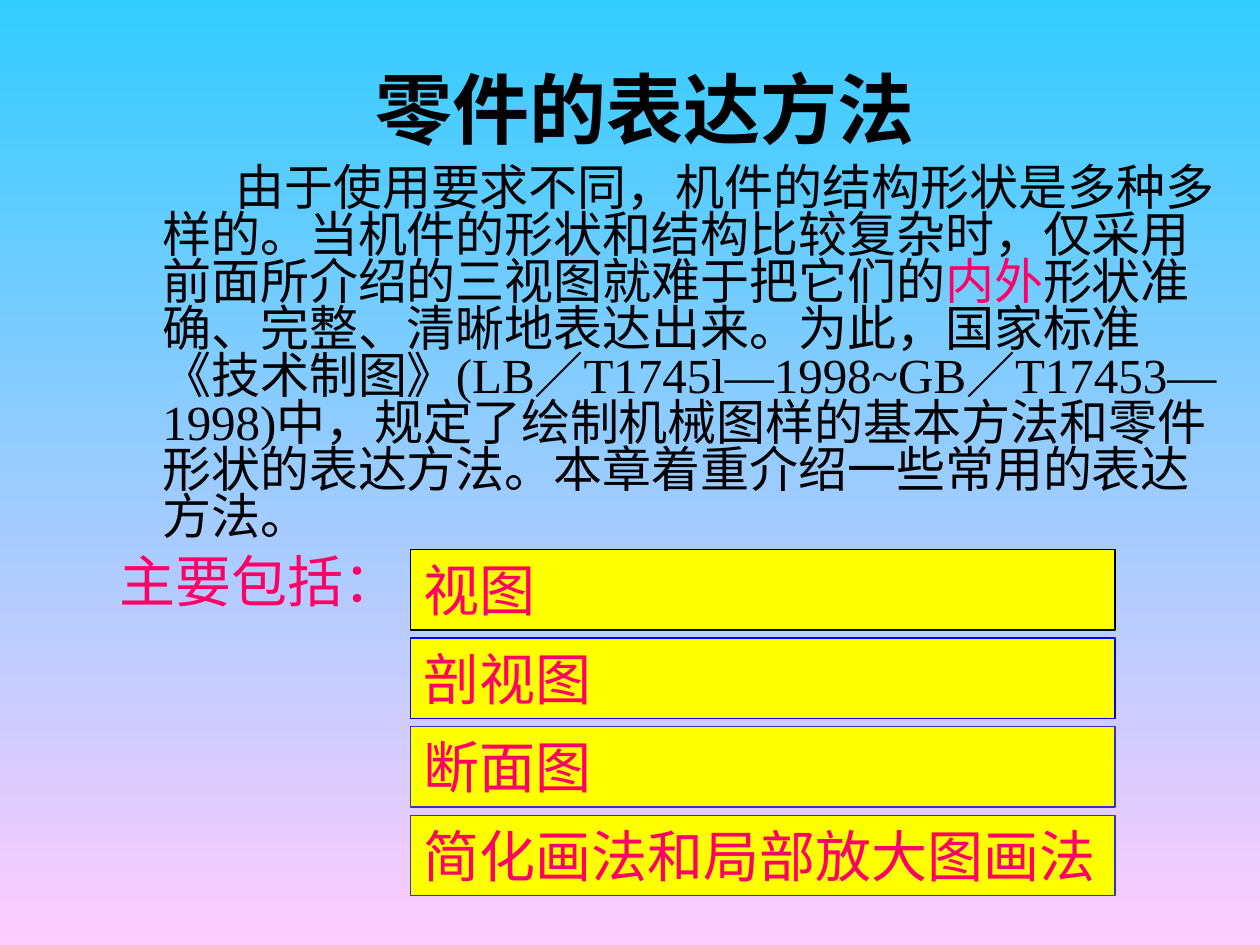
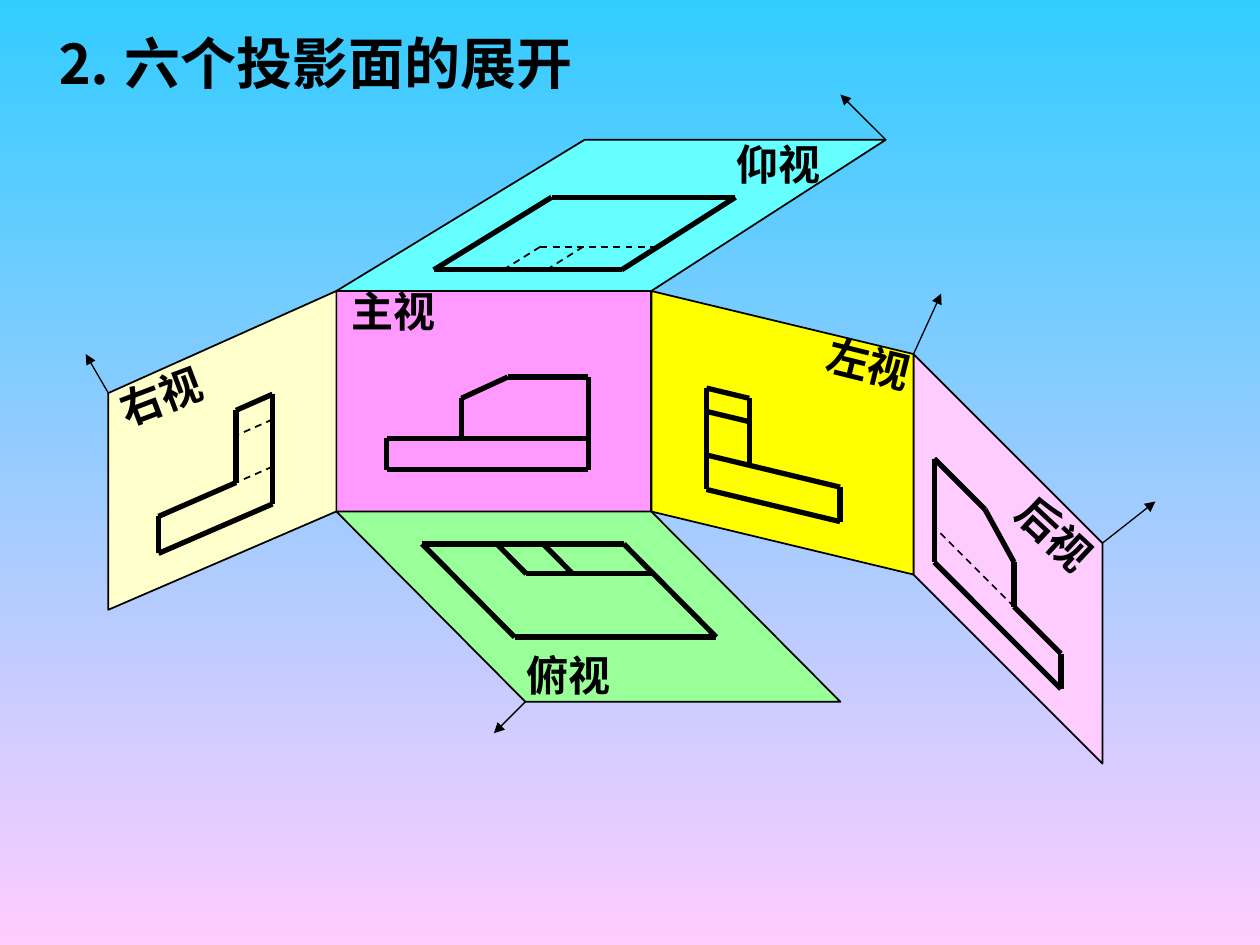
from dataclasses import dataclass
from itertools import pairwise

from lxml.etree import SubElement
from pptx import Presentation
from pptx.dml.color import RGBColor
from pptx.enum.dml import MSO_LINE
from pptx.enum.shapes import MSO_CONNECTOR, MSO_SHAPE
from pptx.enum.text import MSO_ANCHOR, MSO_AUTO_SIZE, PP_ALIGN
from pptx.oxml.ns import qn
from pptx.util import Inches, Pt

COLORS = {
    "sky": "33CCFF", "rose": "FFCCFF", "ink": "000000", "accent": "FF0066",
    "yellow": "FFFF00", "blue": "0000FF", "indigo": "3333CC",
    "magenta": "FF99FF", "cyan": "66FFFF", "green": "99FF99", "cream": "FFFFCC",
}
FONT = "Times New Roman"
WIDTH, HEIGHT = Inches(10), Inches(7.5)
CELL = WIDTH // 1000  # the slide is a grid of 1000 columns by 750 rows

# Corners shared by the unfolded planes, in cells
CORNERS = {
    "A": (267, 231), "B": (517, 231), "C": (517, 406), "D": (267, 406),
    "E": (464, 111), "F": (703, 111), "G": (417, 557), "H": (667, 557),
    "I": (86, 312), "J": (86, 484), "K": (725, 281), "L": (725, 456),
    "M": (875, 431), "N": (875, 606),
}

# The part, as shares of its length, height and depth
STEP, SLOPE = 0.37, 0.6
SHOULDER, BASE = 0.23, 0.66
WALL = 0.32

# Each face: its outline, then the edges seen from one side only
FRONT = ([(0, BASE), (0, 1), (1, 1), (1, 0), (SLOPE, 0), (STEP, SHOULDER),
          (STEP, BASE), (0, BASE)],
         [[(STEP, BASE), (1, BASE)]])
SIDE = ([(0, 0), (0, 1), (1, 1), (1, BASE), (WALL, BASE), (WALL, 0), (0, 0)],
        [[(0, edge), (WALL, edge)] for edge in (SHOULDER, BASE)])
PLAN = ([(0, 0), (0, 1), (1, 1), (1, 0), (0, 0)],
        [[(STEP, 0), (STEP, WALL), (1, WALL)], [(SLOPE, 0), (SLOPE, WALL)]])


@dataclass
class View:
    """A plane, with the drawing and label placed in shares of it."""
    name: str
    corners: str  # top left, top right, bottom left, bottom right
    fill: str
    face: tuple
    area: tuple  # left, top, right, bottom
    label: tuple
    turn: float = 0
    mirror: str = ""
    arrow: tuple | None = None  # corner and step in cells


VIEWS = [
    View("后视", "KMLN", "rose", FRONT, (0.11, 0.38, 0.78, 0.85),
         (0.75, 0.17), 43, "across", ("M", 42, -33)),
    View("主视", "ABDC", "magenta", FRONT, (0.16, 0.39, 0.8, 0.81),
         (0.18, 0.09)),
    View("仰视", "EFAB", "cyan", PLAN, (0.2, 0.38, 0.8, 0.86),
         (0.77, 0.16), 0, "down", ("F", -36, -36)),
    View("俯视", "DCGH", "green", PLAN, (0.17, 0.17, 0.81, 0.66),
         (0.22, 0.86), 0, "", ("G", -25, 25)),
    View("右视", "IAJD", "cream", SIDE, (0.22, 0.34, 0.72, 0.84),
         (0.23, 0.12), -20.7, "across", ("I", -18, -31)),
    View("左视", "BKCL", "yellow", SIDE, (0.21, 0.38, 0.72, 0.84),
         (0.83, 0.09), 13.9, "", ("K", 22, -48)),
]


def color(name):
    return RGBColor.from_string(COLORS[name])


def cells(*values):
    return [round(value * CELL) for value in values]


def mix(start, end, share):
    return tuple(a + (b - a) * share for a, b in zip(start, end))


def add_span(para, text, size, shade="ink", bold=False):
    span = para.add_run()
    span.text = text
    font = span.font
    font.name, font.size, font.bold = FONT, Pt(size), bold
    font.color.rgb = color(shade)


def setup_frame(shape, anchor=MSO_ANCHOR.TOP):
    frame = shape.text_frame
    frame.auto_size = MSO_AUTO_SIZE.NONE
    frame.word_wrap = True
    frame.vertical_anchor = anchor
    return frame.paragraphs[0]


def style_shape(shape, fill, line, weight):
    shape.shadow.inherit = False
    shape.fill.solid()
    shape.fill.fore_color.rgb = color(fill)
    shape.line.color.rgb = color(line)
    shape.line.width = Pt(weight)


def add_line(page, start, end, weight, dashed=False, arrow=False):
    line = page.shapes.add_connector(
        MSO_CONNECTOR.STRAIGHT, *cells(*start, *end))
    line.line.color.rgb = color("ink")
    line.line.width = Pt(weight)
    if dashed:
        line.line.dash_style = MSO_LINE.DASH
    properties = line._element.spPr
    if arrow:
        SubElement(properties.find(qn("a:ln")), qn("a:tailEnd"), type="triangle")
    SubElement(properties, qn("a:effectLst"))


def add_page(deck, title, box, size, align):
    page = deck.slides.add_slide(deck.slide_layouts[5])
    holder = page.shapes.title
    holder.left, holder.top, holder.width, holder.height = cells(*box)
    para = setup_frame(holder, MSO_ANCHOR.MIDDLE)
    para.alignment = align
    add_span(para, title, size, bold=True)
    return page


def add_introduction(page, box):
    para = setup_frame(page.shapes.add_textbox(*cells(*box)))
    para.line_spacing = 0.8
    indents = para._p.get_or_add_pPr()
    indents.set("marL", str(Inches(0.38)))
    indents.set("indent", str(Inches(0.58)))
    add_span(para, "由于使用要求不同，机件的结构形状是多种多样的。当机件的形状和结构"
             "比较复杂时，仅采用前面所介绍的三视图就难于把它们的", 28)
    add_span(para, "内外", 28, "accent")
    add_span(para, "形状准确、完整、清晰地表达出来。为此，国家标准《技术制图》"
             "(LB／T1745l—1998~GB／T17453—1998)中，规定了绘制机械图样的"
             "基本方法和零件形状的表达方法。本章着重介绍一些常用的表达方法。", 28)


def add_topics(page, box):
    left, top, width, height = box
    row_height, indent = 64, 241
    # Lead-in on the left
    lead = page.shapes.add_textbox(*cells(left, top, indent, row_height))
    add_span(setup_frame(lead), "主要包括：", 32, "accent")
    # Evenly stacked bars on the right
    topics = [("视图", "ink"), ("剖视图", "blue"), ("断面图", "indigo"),
              ("简化画法和局部放大图画法", "indigo")]
    first = top + 7
    step = (top + height - row_height - first) / (len(topics) - 1)
    for row, (topic, line) in enumerate(topics):
        bar = page.shapes.add_shape(MSO_SHAPE.RECTANGLE, *cells(
            left + indent, first + row * step, width - indent, row_height))
        style_shape(bar, "yellow", line, 0.75)
        para = setup_frame(bar)
        para.alignment = PP_ALIGN.LEFT
        add_span(para, topic, 32, "accent")


def add_plane(page, view):
    top_left, top_right, bottom_left, bottom_right = (
        CORNERS[key] for key in view.corners)
    if view.corners == "ABDC":  # the plane that stays in place
        size = [b - a for a, b in zip(top_left, bottom_right)]
        plane = page.shapes.add_shape(
            MSO_SHAPE.RECTANGLE, *cells(*top_left, *size))
    else:
        builder = page.shapes.build_freeform(*cells(*top_left), scale=1.0)
        builder.add_line_segments(
            [cells(*point) for point in (top_right, bottom_right, bottom_left)],
            close=True)
        plane = builder.convert_to_shape()
    style_shape(plane, view.fill, "ink", 1)


def add_view(page, view):
    top_left, top_right, bottom_left, bottom_right = (
        CORNERS[key] for key in view.corners)
    left, top, right, bottom = view.area

    def on_plane(across, down):
        return mix(mix(top_left, top_right, across),
                   mix(bottom_left, bottom_right, across), down)

    def on_drawing(point):
        across, down = point
        if view.mirror == "across":
            across = 1 - across
        elif view.mirror == "down":
            down = 1 - down
        return on_plane(left + (right - left) * across,
                        top + (bottom - top) * down)

    # Outline, and inner edges that are hidden in the mirrored views
    outline, inner = view.face
    hidden = bool(view.mirror)
    chains = [(outline, False)] + [(chain, hidden) for chain in inner]
    for chain, dashed in chains:
        for start, end in pairwise(map(on_drawing, chain)):
            add_line(page, start, end, 1 if dashed else 3, dashed)
    # Name of the view, centred on its point
    width, height = 110, 50
    column, row = on_plane(*view.label)
    label = page.shapes.add_textbox(
        *cells(column - width / 2, row - height / 2, width, height))
    label.rotation = view.turn
    para = setup_frame(label, MSO_ANCHOR.MIDDLE)
    para.alignment = PP_ALIGN.CENTER
    add_span(para, view.name, 24, bold=True)
    # Direction of unfolding
    if view.arrow:
        key, across, down = view.arrow
        column, row = CORNERS[key]
        add_line(page, (column, row), (column + across, row + down), 0.75,
                 arrow=True)


def add_unfolding(page):
    for add_part in (add_plane, add_view):
        for view in VIEWS:
            add_part(page, view)


def set_background(master):
    fill = master.background.fill
    fill.gradient()
    fill.gradient_angle = 270
    for stop, name in zip(fill.gradient_stops, ("sky", "rose")):
        stop.color.rgb = color(name)


def main():
    deck = Presentation()
    deck.slide_width, deck.slide_height = WIDTH, HEIGHT
    set_background(deck.slide_master)

    page = add_page(deck, "零件的表达方法", (87, 23, 850, 125), 44, PP_ALIGN.CENTER)
    add_introduction(page, (81, 128, 898, 327))
    add_topics(page, (85, 429, 800, 282))

    page = add_page(deck, "⒉ 六个投影面的展开", (34, 17, 450, 64), 32, PP_ALIGN.LEFT)
    add_unfolding(page)
    deck.save("out.pptx")


if __name__ == "__main__":
    main()
